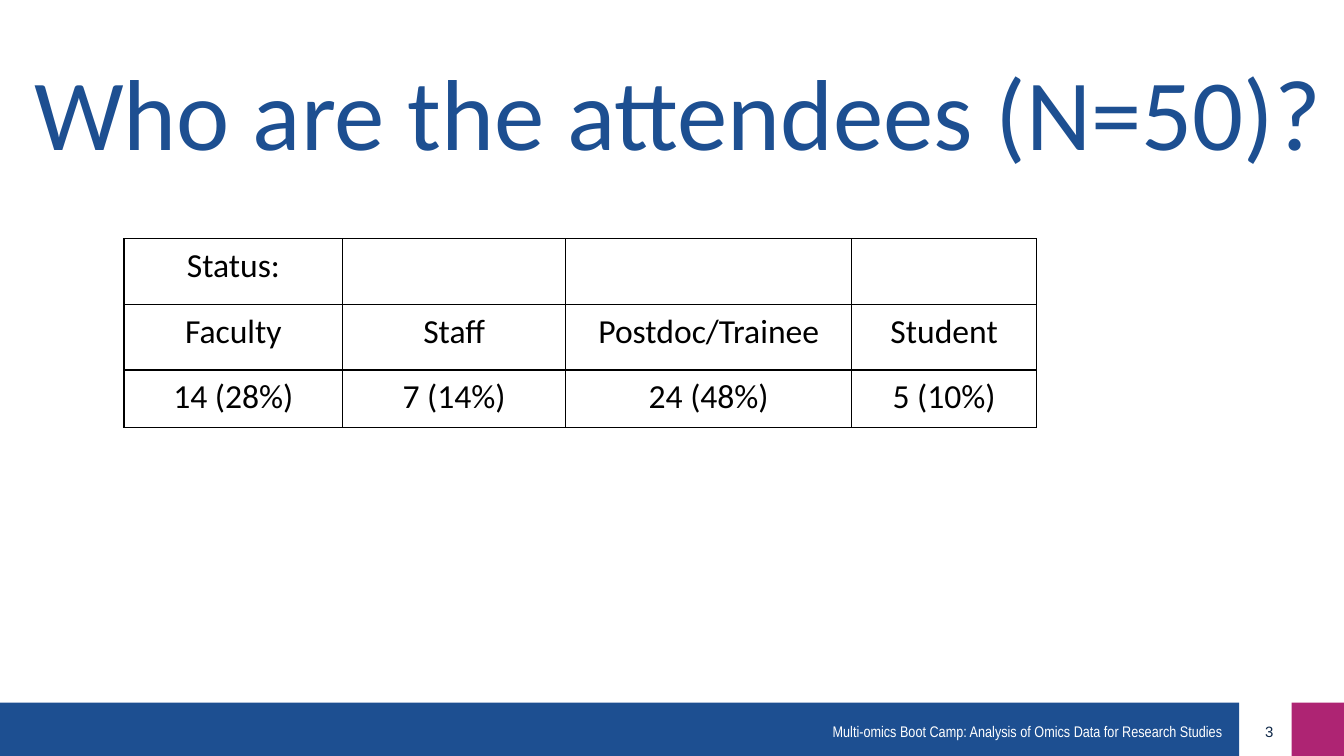
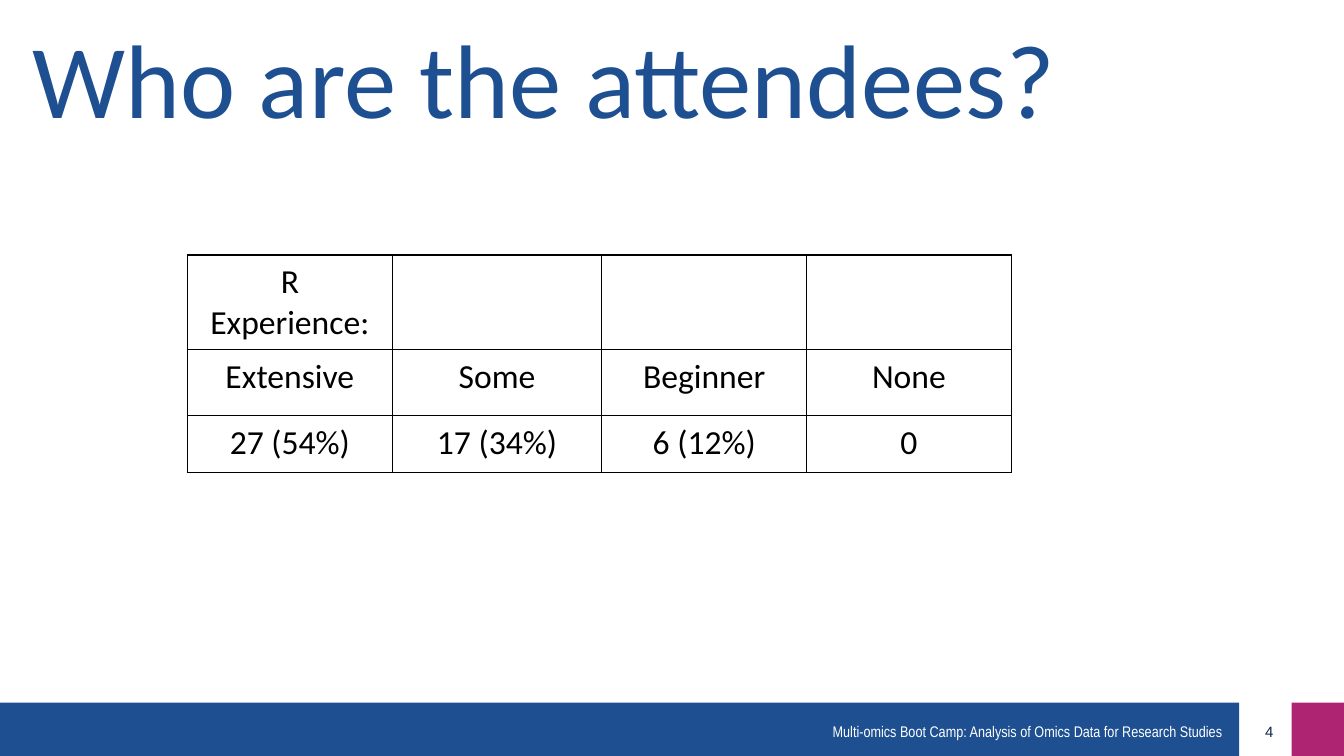
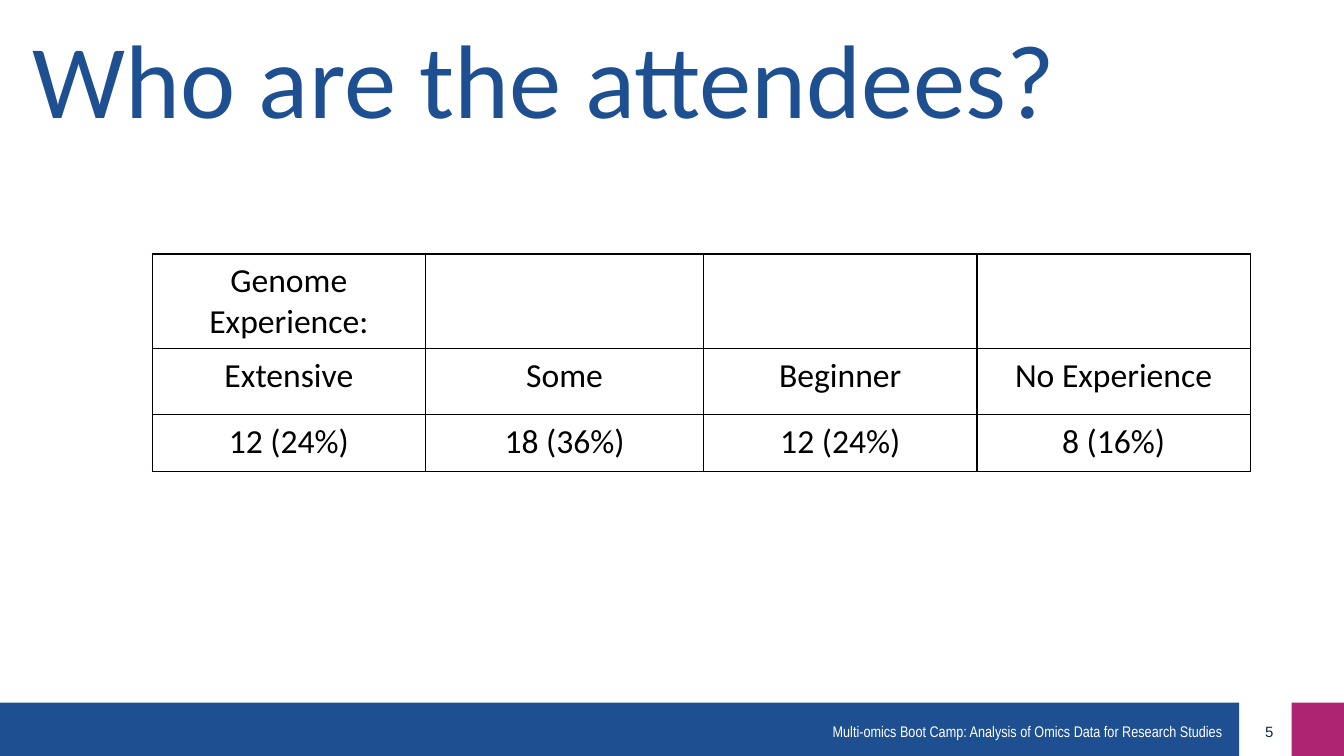
from lxml.etree import SubElement
from pptx import Presentation
from pptx.dml.color import RGBColor
from pptx.enum.shapes import MSO_SHAPE
from pptx.enum.text import MSO_ANCHOR, PP_ALIGN
from pptx.oxml.ns import qn
from pptx.util import Inches, Pt

COLORS = {"blue": "1D4F91", "magenta": "AE2473", "navy": "0F2848",
          "white": "FFFFFF", "black": "000000"}
SLIDE_WIDTH, SLIDE_HEIGHT = 13.33, 7.5
FOOTER_HEIGHT = 0.53
FOOTER_TEXT = "Multi-omics Boot Camp: Analysis of Omics Data for Research Studies"
PADDING = (0.13, 0.07, 0.13, 0.07)  # left, top, right, bottom

SLIDES = [
    {"number": 3, "title": "Who are the attendees (N=50)?",
     "title_at": (0.34, 0.44), "title_size": 72,
     "table_at": (1.23, 2.37), "columns": [2.17, 2.21, 2.84, 1.83],
     "rows": [0.65, 0.65, 0.57],
     "cells": [["Status:", "", "", ""],
               ["Faculty", "Staff", "Postdoc/Trainee", "Student"],
               ["14 (28%)", "7 (14%)", "24 (48%)", "5 (10%)"]]},
    {"number": 4, "title": "Who are the attendees?",
     "title_at": (0.32, 0.09), "title_size": 74.7,
     "table_at": (1.86, 2.53), "columns": [2.03, 2.08, 2.03, 2.03],
     "rows": [0.93, 0.65, 0.57],
     "cells": [["R Experience:", "", "", ""],
               ["Extensive", "Some", "Beginner", "None"],
               ["27 (54%)", "17 (34%)", "6 (12%)", "0"]]},
    {"number": 5, "title": "Who are the attendees?",
     "title_at": (0.32, 0.09), "title_size": 74.7,
     "table_at": (1.51, 2.52), "columns": [2.71, 2.76, 2.71, 2.71],
     "rows": [0.93, 0.65, 0.57],
     "cells": [["Genome Experience:", "", "", ""],
               ["Extensive", "Some", "Beginner", "No Experience"],
               ["12 (24%)", "18 (36%)", "12 (24%)", "8 (16%)"]]},
]


def color(name):
    return RGBColor.from_string(COLORS[name])


def set_margins(target, margins):
    (target.margin_left, target.margin_top,
     target.margin_right, target.margin_bottom) = map(Inches, margins)


def write(paragraph, text, size, font_name, color_name, align=PP_ALIGN.LEFT):
    paragraph.alignment = align
    run = paragraph.add_run()
    run.text = text
    run.font.size = Pt(size)
    run.font.name = font_name
    run.font.color.rgb = color(color_name)


def add_text(slide, box, margins, text, size, font_name, color_name,
             align=PP_ALIGN.LEFT, wrap=True):
    frame = slide.shapes.add_textbox(*map(Inches, box)).text_frame
    frame.word_wrap = wrap
    frame.vertical_anchor = MSO_ANCHOR.TOP
    set_margins(frame, margins)
    write(frame.paragraphs[0], text, size, font_name, color_name, align)


def add_band(slide, box, color_name):
    shape = slide.shapes.add_shape(MSO_SHAPE.RECTANGLE, *map(Inches, box))
    shape.shadow.inherit = False
    shape.fill.solid()
    shape.fill.fore_color.rgb = color(color_name)
    shape.line.fill.background()


def add_footer(slide, top, number):
    # Bands, with a white gap for the slide number
    add_band(slide, (0, top, 12.29, FOOTER_HEIGHT), "blue")
    add_band(slide, (12.81, top, SLIDE_WIDTH - 12.81, FOOTER_HEIGHT), "magenta")
    # Slide number and course name
    add_text(slide, (12.28, top + 0.13, 0.48, 0.31), PADDING, str(number),
             10.7, "Arial", "navy", PP_ALIGN.RIGHT)
    add_text(slide, (8.16, top + 0.14, 4.09, 0.29), (0.1, 0.05, 0.1, 0.05),
             FOOTER_TEXT, 11, "Arial Narrow", "white", wrap=False)


def add_title(slide, left, top, text, size):
    add_text(slide, (left, top, SLIDE_WIDTH - left, 1.67), (0, 0.05, 0, 0),
             text, size, "Calibri", "blue")


def add_borders(cell):
    properties = cell._tc.get_or_add_tcPr()
    for side in ("a:lnL", "a:lnR", "a:lnT", "a:lnB"):
        line = SubElement(properties, qn(side), w=str(Pt(1)))
        fill = SubElement(line, qn("a:solidFill"))
        SubElement(fill, qn("a:srgbClr"), val=COLORS["black"])


def add_survey_table(slide, left, top, columns, rows, cells):
    box = (left, top, sum(columns), sum(rows))
    table = slide.shapes.add_table(len(rows), len(columns),
                                   *map(Inches, box)).table
    table.first_row = table.horz_banding = False
    for column, width in zip(table.columns, columns):
        column.width = Inches(width)
    for row, height, texts in zip(table.rows, rows, cells):
        row.height = Inches(height)
        for cell, text in zip(row.cells, texts):
            set_margins(cell, PADDING)
            add_borders(cell)
            cell.fill.background()
            if text:
                write(cell.text_frame.paragraphs[0], text, 24, "Calibri",
                      "black", PP_ALIGN.CENTER)


def add_survey_slide(presentation, content):
    slide = presentation.slides.add_slide(presentation.slide_layouts[6])
    add_footer(slide, SLIDE_HEIGHT - FOOTER_HEIGHT, content["number"])
    add_title(slide, *content["title_at"], content["title"],
              content["title_size"])
    add_survey_table(slide, *content["table_at"], content["columns"],
                     content["rows"], content["cells"])


def main():
    presentation = Presentation()
    presentation.slide_width = Inches(SLIDE_WIDTH)
    presentation.slide_height = Inches(SLIDE_HEIGHT)
    for content in SLIDES:
        add_survey_slide(presentation, content)
    presentation.save("out.pptx")


if __name__ == "__main__":
    main()
